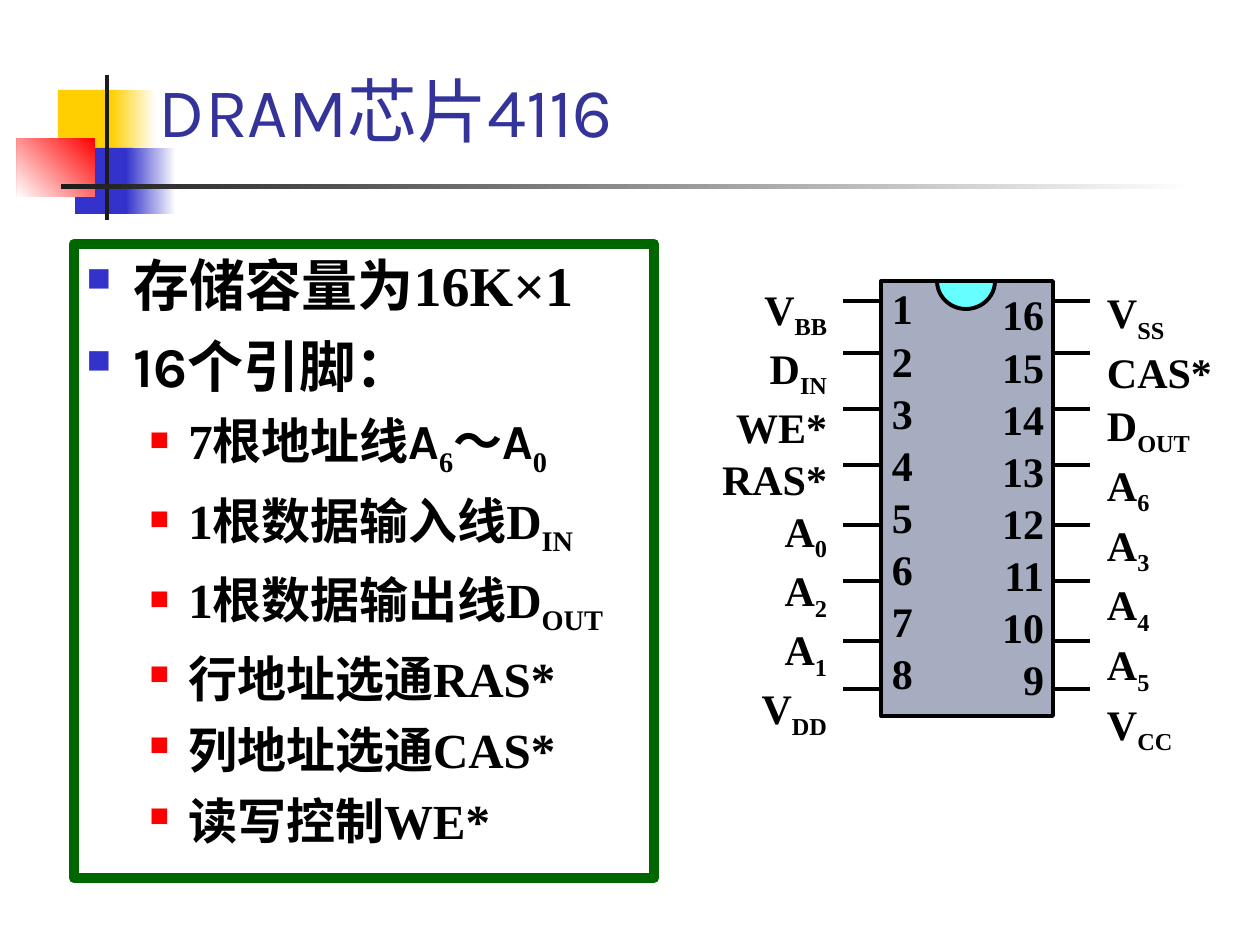
from lxml import etree
from pptx import Presentation
from pptx import util as u
from pptx.dml.color import RGBColor
from pptx.enum import shapes, text
from pptx.oxml.ns import qn

SCALE = 914400 / 126
SERIF, SANS = "Times New Roman", "Karla"
BLACK, BLUE, RED, YELLOW, WHITE = "000000", "3333CC", "FF0000", "FFCF01", "FFFFFF"
ALIGN = text.PP_ALIGN
PLAIN, SUB, SANS_RUN = "plain", "sub", "sans"

# Each body line: level, then runs of (text, style).
BODY = [
    (0, [("存储容量为16K×1", PLAIN)]),
    (0, [("16个", SANS_RUN), ("引脚：", PLAIN)]),
    (1, [("7根地址线", PLAIN), ("A", SANS_RUN), ("6", SUB), ("～", PLAIN),
         ("A", SANS_RUN), ("0", SUB)]),
    (1, [("1根数据输入线D", PLAIN), ("IN", SUB)]),
    (1, [("1根数据输出线D", PLAIN), ("OUT", SUB)]),
    (1, [("行地址选通RAS*", PLAIN)]),
    (1, [("列地址选通CAS*", PLAIN)]),
    (1, [("读写控制WE*", PLAIN)]),
]
# Level: text size, space before, left margin, hanging indent, bullet colour, bullet percent
LEVELS = [(32, 8, 47, 47, BLUE, 60), (28, 7, 102, 39, RED, 55)]

LEFT_PINS = ["V_BB", "D_IN", "WE*", "RAS*", "A_0", "A_2", "A_1", "V_DD"]
RIGHT_PINS = ["V_SS", "CAS*", "D_OUT", "A_6", "A_3", "A_4", "A_5", "V_CC"]
PIN_ROWS = [301, 353, 409, 465, 525, 581, 641, 689]


def px(value):
    return u.Emu(round(value * SCALE))


def colour(value):
    return RGBColor.from_string(value)


def add_block(slide, box, fill=None, line=None, line_width=2.25,
              kind=shapes.MSO_SHAPE.RECTANGLE):
    shape = slide.shapes.add_shape(kind, *map(px, box))
    shape.shadow.inherit = False
    if fill:
        shape.fill.solid()
        shape.fill.fore_color.rgb = colour(fill)
    else:
        shape.fill.background()
    if line:
        shape.line.color.rgb = colour(line)
        shape.line.width = u.Pt(line_width)
    else:
        shape.line.fill.background()
    return shape


def add_fade(slide, box, start, end, angle=180):
    """Add a borderless block with a two-colour gradient."""
    fill = add_block(slide, box).fill
    fill.gradient()
    fill.gradient_angle = angle
    for stop, value, position in zip(fill.gradient_stops, (start, end), (0, 1)):
        stop.color.rgb = colour(value)
        stop.position = position


def add_line(slide, x1, x2, y):
    line = slide.shapes.add_connector(shapes.MSO_CONNECTOR.STRAIGHT,
                                      px(x1), px(y), px(x2), px(y))
    line.line.color.rgb = colour(BLACK)
    line.line.width = u.Pt(2.25)
    etree.SubElement(line._element.spPr, qn("a:effectLst"))


def add_text_box(slide, box, inset=1, anchor=text.MSO_ANCHOR.TOP):
    frame = slide.shapes.add_textbox(*map(px, box)).text_frame
    frame.word_wrap = True
    frame.vertical_anchor = anchor
    frame.margin_left = frame.margin_right = px(inset)
    frame.margin_top = frame.margin_bottom = px(inset / 2 if inset > 1 else inset)
    return frame


def next_paragraph(frame, index):
    return frame.add_paragraph() if index else frame.paragraphs[0]


def set_font(paragraph, name, size, value, bold):
    font = paragraph.font
    font.name, font.size, font.bold = name, u.Pt(size), bold
    font.color.rgb = colour(value)


def add_runs(paragraph, runs):
    for content, style in runs:
        run = paragraph.add_run()
        run.text = content
        if style == SUB:
            run.font._element.set("baseline", "-25000")
        elif style == SANS_RUN:
            run.font.name = SANS


def add_bullet(paragraph, margin, hanging, value, percent):
    properties = paragraph._p.get_or_add_pPr()
    properties.set("marL", str(px(margin)))
    properties.set("indent", str(-px(hanging)))
    bullet_colour = etree.SubElement(properties, qn("a:buClr"))
    etree.SubElement(bullet_colour, qn("a:srgbClr"), val=value)
    etree.SubElement(properties, qn("a:buSzPct"), val=str(percent * 1000))
    etree.SubElement(properties, qn("a:buChar"), char="■")


def add_decoration(slide):
    add_block(slide, (58, 90, 60, 66), YELLOW)
    add_fade(slide, (111, 90, 45, 66), WHITE, YELLOW)
    add_block(slide, (75, 148, 58, 66), BLUE)
    add_fade(slide, (126, 148, 50, 66), WHITE, BLUE)
    add_fade(slide, (17, 138, 78, 59), RED, WHITE, angle=225)
    add_block(slide, (105, 75, 4, 145), "1C1C1C")
    add_fade(slide, (61, 184, 1134, 5), WHITE, "1C1C1C")


def add_title(slide):
    frame = add_text_box(slide, (147, 42, 1074, 116), 12, text.MSO_ANCHOR.BOTTOM)
    paragraph = frame.paragraphs[0]
    set_font(paragraph, SANS, 40, "333399", False)
    add_runs(paragraph, [("DRAM芯片4116", PLAIN)])


def add_body(slide):
    frame = add_block(slide, (74, 244, 580, 634), line="006600", line_width=6).text_frame
    frame.word_wrap = True
    frame.vertical_anchor = text.MSO_ANCHOR.TOP
    for index, (level, runs) in enumerate(BODY):
        size, before, *bullet = LEVELS[level]
        paragraph = next_paragraph(frame, index)
        paragraph.level = level
        paragraph.alignment = ALIGN.JUSTIFY
        if index:
            paragraph.space_before = u.Pt(before)
        add_bullet(paragraph, *bullet)
        set_font(paragraph, SERIF, size, BLACK, True)
        add_runs(paragraph, runs)


def add_pin_column(slide, box, labels, alignment, after=1):
    """Stack pin labels; an underscore starts a subscript."""
    frame = add_text_box(slide, box)
    for index, label in enumerate(labels):
        paragraph = next_paragraph(frame, index)
        paragraph.alignment = alignment
        paragraph.space_after = u.Pt(after)
        set_font(paragraph, SERIF, 24, BLACK, True)
        add_runs(paragraph, zip(label.split("_"), (PLAIN, SUB)))


def add_chip(slide):
    add_block(slide, (881, 281, 172, 435), "A6ADC0", BLACK)
    add_pin_column(slide, (711, 282, 117, 461), LEFT_PINS, ALIGN.RIGHT)
    add_pin_column(slide, (1106, 286, 112, 471), RIGHT_PINS, ALIGN.JUSTIFY, 1.4)
    add_pin_column(slide, (891, 282, 57, 431), map(str, range(1, 9)), ALIGN.JUSTIFY)
    add_pin_column(slide, (988, 288, 57, 431), map(str, range(16, 8, -1)), ALIGN.RIGHT)
    notch = add_block(slide, (937, 253, 58, 56), "66FFFF", BLACK,
                      kind=shapes.MSO_SHAPE.CHORD)
    notch.adjustments[0] = 0
    notch.adjustments[1] = 108  # 180 degrees: the lower half
    for start, end in ((843, 880), (1053, 1090)):
        for row in PIN_ROWS:
            add_line(slide, start, end, row)


def main():
    presentation = Presentation()
    presentation.slide_width, presentation.slide_height = px(1260), px(945)
    slide = presentation.slides.add_slide(presentation.slide_layouts[6])
    add_decoration(slide)
    add_title(slide)
    add_body(slide)
    add_chip(slide)
    presentation.save("out.pptx")


if __name__ == "__main__":
    main()
